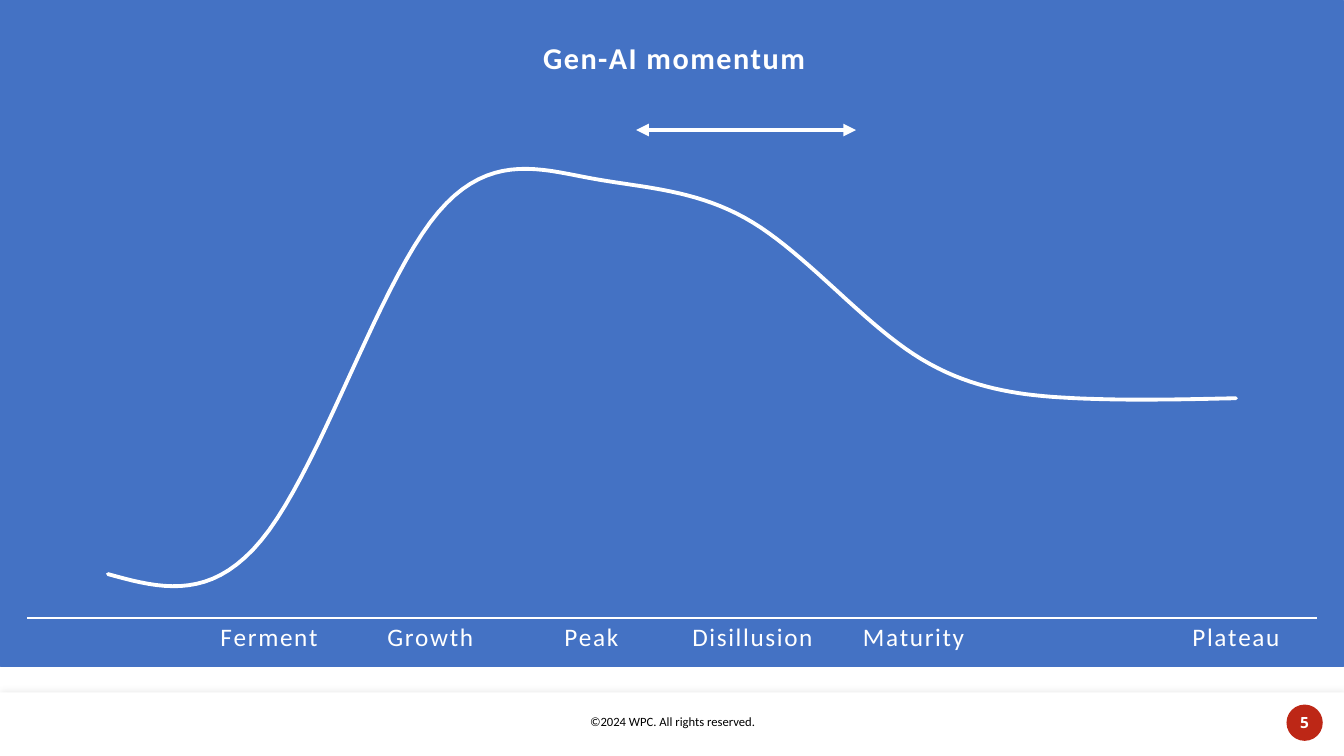
import pptx
import pptx.chart.data
import pptx.dml.color
import pptx.enum.chart
import pptx.enum.shapes
import pptx.enum.text
import pptx.oxml
import pptx.oxml.ns
import pptx.util
from pptx.util import Inches, Pt

TITLE = "Gen-AI momentum"
STAGES = [("", 10), ("Ferment", 20), ("Growth", 90), ("Peak", 100),
          ("Disillusion", 90), ("Maturity", 60), ("", 50), ("Plateau", 50)]
FOOTER = "©2024 WPC. All rights reserved."
PAGE_NUMBER = "5"
COLORS = {"blue": "4472C4", "white": "FFFFFF", "black": "000000", "red": "BD2716"}
PLOT_FRAME = {"x": 0.02, "y": 0.135, "w": 0.96, "h": 0.792}
TITLE_FRAME = {"x": 0.4, "y": 0.045}
NS = pptx.oxml.ns.nsdecls


def color(name):
    return pptx.dml.color.RGBColor.from_string(COLORS[name])


def style_font(font, face, size, name, bold=False):
    font.name, font.size, font.bold = face, Pt(size), bold
    font.color.rgb = color(name)


def write_centered(frame, text, face, size, name, bold=False):
    para = frame.paragraphs[0]
    para.alignment = pptx.enum.text.PP_ALIGN.CENTER
    span = para.add_run()
    span.text = text
    style_font(span.font, face, size, name, bold)


def add_plain_shape(page, kind, place, fill):
    shape = page.shapes.add_shape(kind, *map(Inches, place))
    shape.shadow.inherit = False
    shape.fill.solid()
    shape.fill.fore_color.rgb = color(fill)
    shape.line.fill.background()
    return shape


def manual_layout(frame, inner=False):
    target = '<c:layoutTarget val="inner"/>' if inner else ""
    modes = "".join(f'<c:{side}Mode val="edge"/>' for side in "xy")
    sizes = "".join(f'<c:{side} val="{value}"/>' for side, value in frame.items())
    return pptx.oxml.parse_xml(
        f'<c:layout {NS("c")}><c:manualLayout>{target}{modes}{sizes}'
        '</c:manualLayout></c:layout>')


def replace_layout(parent, layout, position):
    for old in parent.findall(pptx.oxml.ns.qn("c:layout")):
        parent.remove(old)
    parent.insert(position, layout)


def add_footer(page):
    band = add_plain_shape(page, pptx.enum.shapes.MSO_SHAPE.RECTANGLE,
                           (0, 6.87, 13.33, 0.63), "white")
    effects = band._element.spPr.find(pptx.oxml.ns.qn("a:effectLst"))
    effects.append(pptx.oxml.parse_xml(
        f'<a:outerShdw {NS("a")} blurRad="{Pt(4)}" dist="{Pt(1)}" dir="16200000" '
        f'algn="b" rotWithShape="0"><a:srgbClr val="{COLORS["black"]}">'
        '<a:alpha val="10000"/></a:srgbClr></a:outerShdw>'))

    box = page.shapes.add_textbox(*map(Inches, (5.38, 7.03, 2.58, 0.25)))
    box.text_frame.word_wrap = True
    write_centered(box.text_frame, FOOTER, "Calibri", 9, "black")

    badge = add_plain_shape(page, pptx.enum.shapes.MSO_SHAPE.OVAL,
                            (12.76, 6.99, 0.36, 0.36), "red")
    frame = badge.text_frame
    frame.margin_left = frame.margin_right = 0
    frame.margin_top, frame.margin_bottom = Inches(0.05), Inches(0.06)
    frame.vertical_anchor = pptx.enum.text.MSO_ANCHOR.MIDDLE
    write_centered(frame, PAGE_NUMBER, "Open Sans", 11, "white", True)


def add_momentum_chart(page):
    data = pptx.chart.data.CategoryChartData()
    data.categories = [stage for stage, _ in STAGES]
    data.add_series("Series 1", [value for _, value in STAGES])
    chart = page.shapes.add_chart(
        pptx.enum.chart.XL_CHART_TYPE.LINE, 0, 0, Inches(13.33), Inches(6.62), data).chart
    chart.has_legend = False
    style_font(chart.font, "Calibri", 18, "black")

    write_centered(chart.chart_title.text_frame, TITLE, "Calibri", 21.6, "white", True)
    title = chart.chart_title._element
    title.find(".//" + pptx.oxml.ns.qn("a:rPr")).set("spc", "100")
    replace_layout(title, manual_layout(TITLE_FRAME), 1)
    chart.chart_title.include_in_layout = False

    plot = chart.plots[0]
    plot.vary_by_categories = False
    curve = plot.series[0]
    curve.smooth = True
    curve.marker.style = pptx.enum.chart.XL_MARKER_STYLE.NONE
    curve.format.line.color.rgb = color("white")
    curve.format.line.width = Pt(2.75)
    curve.format.line._ln.set("cap", "rnd")

    stages = chart.category_axis
    stages.major_tick_mark = stages.minor_tick_mark = pptx.enum.chart.XL_TICK_MARK.NONE
    stages.format.line.color.rgb = color("white")
    stages.format.line.width = Pt(1)
    style_font(stages.tick_labels.font, "Calibri", 18, "white")
    stages._element.find(".//" + pptx.oxml.ns.qn("a:defRPr")).set("spc", "120")

    values = chart.value_axis
    values.minimum_scale, values.maximum_scale = 0, 120
    values.has_major_gridlines = False
    values.visible = False

    space = chart._chartSpace
    replace_layout(space.chart.plotArea, manual_layout(PLOT_FRAME, inner=True), 0)
    space.chart.addnext(pptx.oxml.parse_xml(
        f'<c:spPr {NS("c", "a")}><a:solidFill><a:srgbClr val="{COLORS["blue"]}"/>'
        f'</a:solidFill><a:ln w="{Pt(0.75)}"><a:solidFill>'
        f'<a:srgbClr val="{COLORS["blue"]}"/></a:solidFill></a:ln></c:spPr>'))


def add_double_arrow(page):
    arrow = page.shapes.add_connector(
        pptx.enum.shapes.MSO_CONNECTOR.STRAIGHT,
        Inches(6.31), Inches(1.29), Inches(8.49), Inches(1.29))
    arrow.line.color.rgb = color("white")
    arrow.line.width = Pt(3)
    for end in ("headEnd", "tailEnd"):
        arrow.line._ln.append(pptx.oxml.parse_xml(f'<a:{end} {NS("a")} type="triangle"/>'))
    arrow._element.spPr.append(pptx.oxml.parse_xml(f'<a:effectLst {NS("a")}/>'))


def main():
    deck = pptx.Presentation()
    deck.slide_width, deck.slide_height = Inches(13.33), Inches(7.5)
    page = deck.slides.add_slide(deck.slide_layouts[6])
    add_footer(page)
    add_momentum_chart(page)
    add_double_arrow(page)
    deck.save("out.pptx")


if __name__ == "__main__":
    main()
